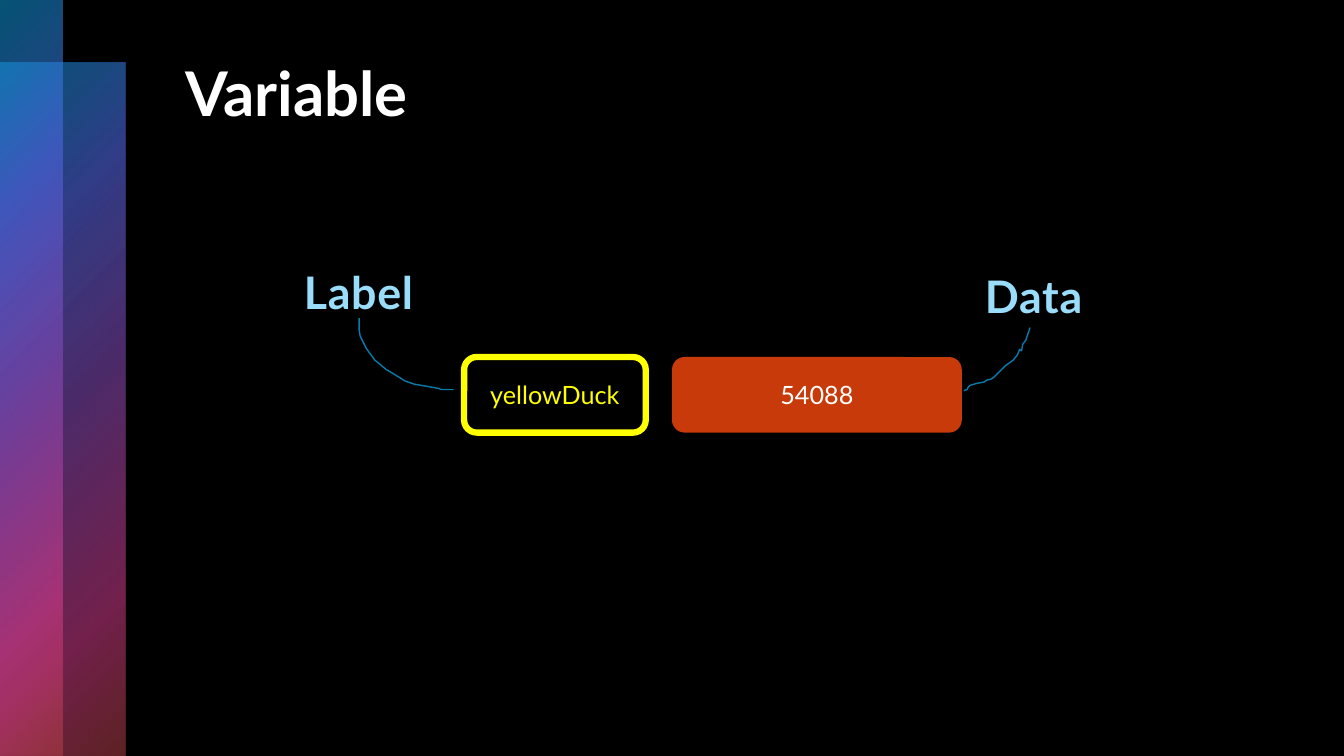
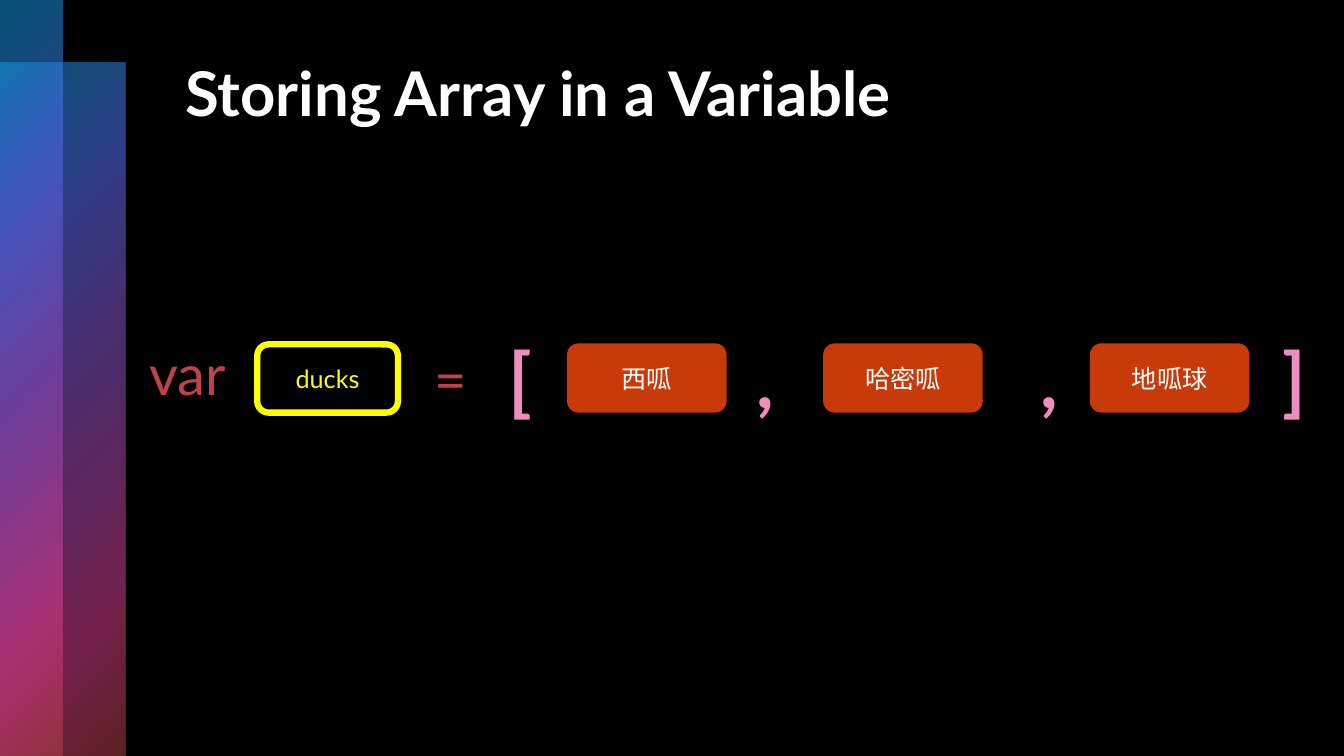
from dataclasses import dataclass
from typing import NamedTuple

from lxml import etree
from pptx import Presentation
from pptx import util as u
from pptx.dml.color import RGBColor
from pptx.enum import shapes, text
from pptx.oxml.ns import qn

PX = 9525


@dataclass(frozen=True)
class Theme:
    """Colours, gradients and type sizes shared by the slides."""
    font: str = "Lato"
    back: str = "000000"
    title: str = "FFFFFF"
    name: str = "FFFF00"
    value: str = "C83A09"
    on_value: str = "FFFFFF"
    caption: str = "99DDFA"
    curve: str = "087AAC"
    mark_edge: str = "E54196"
    band: tuple = ((0, "0BA5E8", 50), (25, "5066E1", 60), (50, "894EC0", 55),
                   (81, "E54196", 50), (99, "BE4449", 50))
    mark: tuple = ((0, "E54196", 100), (4, "EF8DC0", 100), (87, "FAD9EA", 100))
    keyword: tuple = ((0, "602124", 100), (50, "BE4449", 100), (100, "D88F92", 100))
    title_pt: int = 44
    caption_pt: int = 32
    cell_pt: int = 18
    mark_pt: int = 54
    keyword_pt: int = 40


T = Theme()


class Box(NamedTuple):
    """A rectangle in px."""
    x: int
    y: int
    w: int
    h: int

    def inner(self, x, y, w, h):
        """Return a box whose corner is measured from this one."""
        return Box(self.x + x, self.y + y, w, h)

    def emu(self):
        """Return left, top, width and height in EMU."""
        return [v * PX for v in self]


def rgb(code):
    """Turn RRGGBB into a colour."""
    return RGBColor.from_string(code)


def set_gradient(fill, props, stops, radial=False):
    """Fill with gradient stops, either from the top left corner or downwards."""
    fill.gradient()
    grad = props.find(qn("a:gradFill"))
    for child in list(grad):
        grad.remove(child)
    gs_lst = etree.SubElement(grad, qn("a:gsLst"))
    for pos, code, alpha in stops:
        gs = etree.SubElement(gs_lst, qn("a:gs"), pos=str(pos * 1000))
        clr = etree.SubElement(gs, qn("a:srgbClr"), val=code)
        if alpha < 100:
            etree.SubElement(clr, qn("a:alpha"), val=str(alpha * 1000))
    if radial:
        way = etree.SubElement(grad, qn("a:path"), path="circle")
        etree.SubElement(way, qn("a:fillToRect"), r="100000", b="100000")
    else:
        etree.SubElement(grad, qn("a:lin"), ang="5400000", scaled="0")


def write(sp, words, size, color=None, bold=False, align=text.PP_ALIGN.CENTER):
    """Put one styled line of text in a shape and return its run."""
    p = sp.text_frame.paragraphs[0]
    p.text = words
    p.alignment = align
    r = p.runs[0]
    r.font.name = T.font
    r.font.size = u.Pt(size)
    r.font.bold = bold
    if color:
        r.font.color.rgb = rgb(color)
    return r


def add_label(s, box, words, size, color=None, bold=False):
    """Add a centred text box that fits its single line."""
    sp = s.shapes.add_textbox(*box.emu())
    sp.text_frame.word_wrap = False
    sp.text_frame.auto_size = text.MSO_AUTO_SIZE.SHAPE_TO_FIT_TEXT
    return write(sp, words, size, color, bold)


def add_caption(s, box, words):
    """Add a bold caption with slightly spaced letters."""
    r = add_label(s, box, words, T.caption_pt, T.caption, True)
    r.font._element.set("spc", "50")


def add_keyword(s, box, words):
    """Add a code word in the keyword gradient."""
    r = add_label(s, box, words, T.keyword_pt)
    set_gradient(r.font.fill, r.font._element, T.keyword)


def add_mark(s, box, sign):
    """Add an outlined punctuation mark."""
    r = add_label(s, box, sign, T.mark_pt, bold=True)
    rPr = r.font._element
    set_gradient(r.font.fill, rPr, T.mark)
    ln = etree.Element(qn("a:ln"), w=str(u.Pt(1)))
    fill = etree.SubElement(ln, qn("a:solidFill"))
    etree.SubElement(fill, qn("a:srgbClr"), val=T.mark_edge)
    rPr.insert(0, ln)


def add_cell(s, box, words, named=False):
    """Add a rounded cell: outlined for a name, filled for a value."""
    sp = s.shapes.add_shape(shapes.MSO_SHAPE.ROUNDED_RECTANGLE, *box.emu())
    sp.shadow.inherit = False
    if named:
        sp.fill.background()
        sp.line.color.rgb = rgb(T.name)
        sp.line.width = u.Pt(4.5)
    else:
        sp.fill.solid()
        sp.fill.fore_color.rgb = rgb(T.value)
        sp.line.fill.background()
    sp.text_frame.vertical_anchor = text.MSO_ANCHOR.MIDDLE
    write(sp, words, T.cell_pt, T.name if named else T.on_value)


def add_curve(s, box, x, y, points):
    """Draw an open hand-drawn line through points measured from its start."""
    x, y = box.x + x, box.y + y
    fb = s.shapes.build_freeform(x, y, scale=PX)
    fb.add_line_segments([(x + dx, y + dy) for dx, dy in points], close=False)
    sp = fb.convert_to_shape()
    sp.shadow.inherit = False
    sp.fill.background()
    sp.line.color.rgb = rgb(T.curve)
    sp.line.width = u.Pt(1)


def add_slide(prs, title):
    """Add a slide with its background, side bands and title."""
    s = prs.slides.add_slide(prs.slide_layouts[6])
    s.background.fill.solid()
    s.background.fill.fore_color.rgb = rgb(T.back)
    for box in (Box(0, 60, 120, 660), Box(0, 0, 60, 720)):
        sp = s.shapes.add_shape(shapes.MSO_SHAPE.RECTANGLE, *box.emu())
        sp.shadow.inherit = False
        sp.line.fill.background()
        set_gradient(sp.fill, sp._element.spPr, T.band, radial=True)
    sp = s.shapes.add_textbox(*Box(167, 48, 996, 163).emu())
    sp.text_frame.word_wrap = True
    write(sp, title, T.title_pt, T.title, True, text.PP_ALIGN.LEFT)
    return s


def variable_diagram(s, box):
    """Show a name beside its value, each with a caption and a curve."""
    add_cell(s, box.inner(169, 93, 173, 72), "yellowDuck", named=True)
    add_cell(s, box.inner(367, 93, 276, 72), "54088")
    add_caption(s, box.inner(0, 0, 137, 61), "Label")
    add_caption(s, box.inner(651, 4, 121, 61), "Data")
    add_curve(s, box, 69, 56, [
        (0, 11), (1, 17), (7, 29), (15, 40), (26, 49), (31, 52), (36, 55),
        (44, 60), (53, 63), (65, 65), (76, 67), (78, 68), (90, 68)])
    add_curve(s, box, 708, 65, [
        (-3, 9), (-4, 12), (-7, 16), (-8, 22), (-10, 21), (-12, 26),
        (-16, 31), (-23, 36), (-29, 42), (-34, 47), (-37, 49), (-41, 50),
        (-44, 52), (-50, 53), (-57, 55), (-59, 57), (-60, 59), (-63, 60)])


def array_row(s, box):
    """Show an array assigned to a variable as one line of code."""
    for x, w, sign in ((341, 50, "["), (1078, 50, "]"), (580, 37, ","), (851, 37, ",")):
        add_mark(s, box.inner(x, 0, w, box.h), sign)
    for x, words in ((410, "西呱"), (654, "哈密呱"), (908, "地呱球")):
        add_cell(s, box.inner(x, 15, 152, 66), words)
    add_cell(s, box.inner(115, 16, 134, 65), "ducks", named=True)
    add_keyword(s, box.inner(0, 7, 97, 74), "var")
    add_keyword(s, box.inner(273, 11, 52, 74), "=")


def main():
    """Build and save the presentation."""
    prs = Presentation()
    prs.slide_width, prs.slide_height = 1280 * PX, 720 * PX
    variable_diagram(add_slide(prs, "Variable"), Box(273, 247, 772, 165))
    array_row(add_slide(prs, "Storing Array in a Variable"), Box(130, 312, 1128, 97))
    prs.save("out.pptx")


if __name__ == "__main__":
    main()
